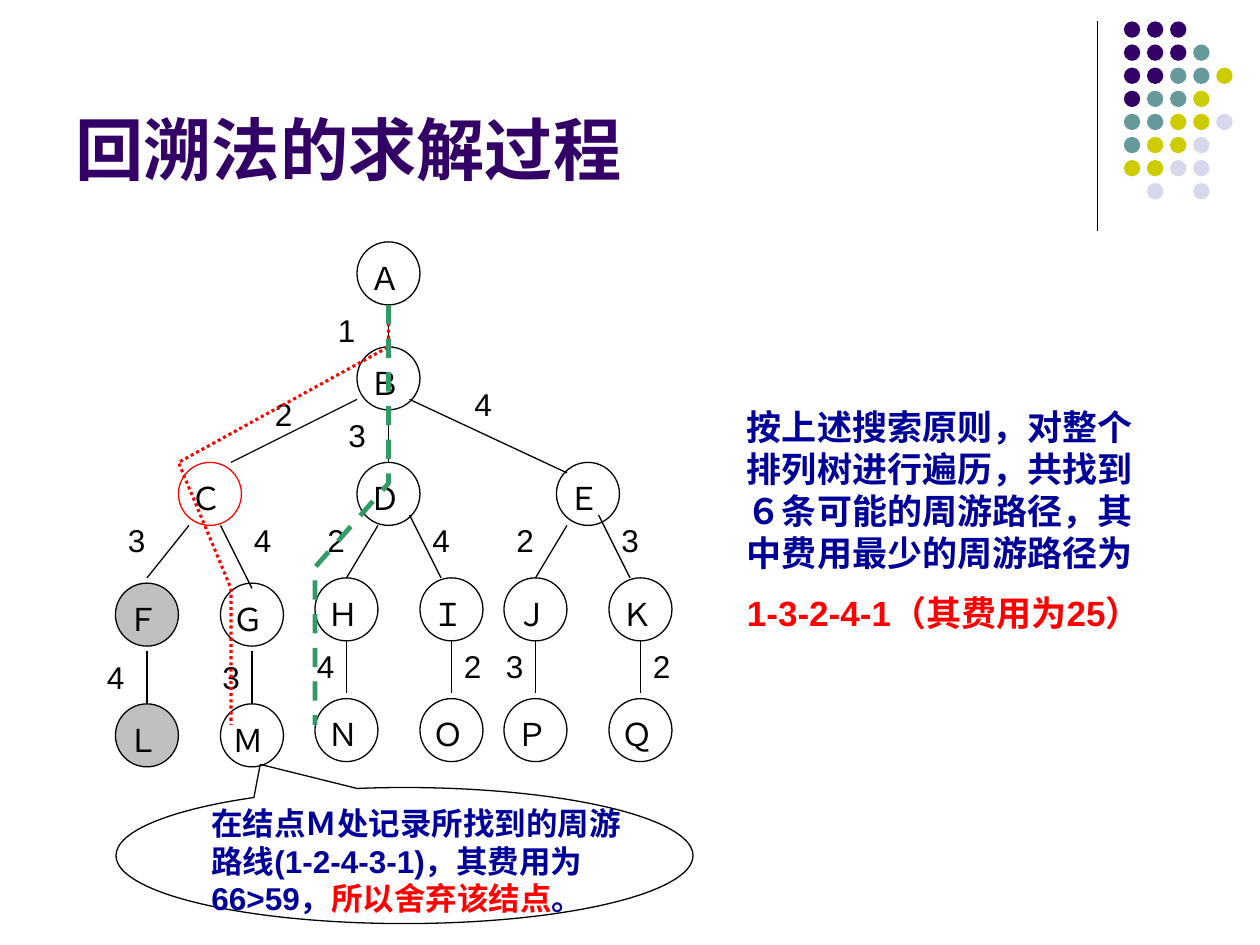
"""Build the backtracking search-tree slide."""
from dataclasses import dataclass

import pptx
import pptx.dml.color
import pptx.enum.dml
import pptx.enum.shapes
import pptx.enum.text
import pptx.util
from lxml import etree
from pptx.util import Inches

SHAPE = pptx.enum.shapes.MSO_SHAPE
DASH = pptx.enum.dml.MSO_LINE
ANCHOR = pptx.enum.text.MSO_ANCHOR


@dataclass(frozen=True)
class Theme:
    """Colours, type sizes and the font."""
    font: str = "Arial"
    ink: str = "000000"
    purple: str = "330066"
    teal: str = "669999"
    olive: str = "CCCC00"
    mist: str = "D8D8EC"
    navy: str = "000099"
    red: str = "FF0000"
    green: str = "339966"
    pruned: str = "C0C0C0"
    title: float = 39
    body: float = 20
    label: float = 18
    hairline: float = 0.75


THEME = Theme()
TREE_UNIT = Inches(1) / 12

DOT_ROWS = ["PPP", "PPPT", "PPTTO", "PTTO", "TTOOM", "TOOM", "OOMM", " M M"]
DOT_COLOURS = {"P": THEME.purple, "T": THEME.teal, "O": THEME.olive, "M": THEME.mist}

NODES = {
    "Ａ": (25, 0), "Ｂ": (25, 10), "Ｃ": (8, 21), "Ｄ": (25, 21), "Ｅ": (44, 21),
    "Ｆ": (2, 32.5), "Ｇ": (12, 32.5), "Ｌ": (2, 44), "Ｍ": (12, 44),
    "Ｈ": (21, 32), "Ｉ": (31, 32), "Ｎ": (21, 43.5), "Ｏ": (31, 43.5),
    "Ｊ": (39, 32), "Ｋ": (49, 32), "Ｐ": (39, 43.5), "Ｑ": (49, 43.5),
}
NODE_FILLS = {"Ｆ": THEME.pruned, "Ｌ": THEME.pruned}
NODE_LINES = {"Ｃ": THEME.red}

EDGES = [
    ((28, 6), (28, 10), "1", (22, 6)),
    ((28, 16), (28, 21), "3", (23, 16)),
    ((25, 15), (13, 21), "2", (16, 14)),
    ((45, 22), (30, 15), "4", (35, 13)),
    ((27, 27), (24, 32), "2", (21, 26)),
    ((9, 27), (5, 32), "3", (2, 26)),
    ((45, 27), (42, 32), "2", (39, 26)),
    ((51, 32), (48, 26), "3", (49, 26)),
    ((33, 32), (30, 26), "4", (31, 26)),
    ((15, 33), (12, 27), "4", (14, 26)),
    ((5, 39), (5, 44), "4", (0, 39)),
    ((15, 39), (15, 44), "3", (11, 39)),
    ((24, 38), (24, 43), "4", (20, 38)),
    ((34, 38), (34, 43), "2", (34, 38)),
    ((42, 38), (42, 43), "3", (38, 38)),
    ((52, 38), (52, 43), "2", (52, 38)),
]
REJECTED_ROUTE = [(28, 6), (28, 10), (8, 21), (13, 33), (13, 46)]
BEST_ROUTE = [(28, 6), (28, 10), (28, 23), (21, 31), (21, 46)]


def rgb(colour):
    """Turn a hex string into a colour value."""
    return pptx.dml.color.RGBColor.from_string(colour)


def add_text(page, left, top, width, height, paragraphs, size, bold=False, anchor=ANCHOR.TOP):
    """Place a text box whose paragraphs are lists of (text, colour) spans."""
    box = page.shapes.add_textbox(*map(int, (left, top, width, height)))
    frame = box.text_frame
    frame.word_wrap = True
    frame.vertical_anchor = anchor
    for index, spans in enumerate(paragraphs):
        para = frame.add_paragraph() if index else frame.paragraphs[0]
        para.font.name = THEME.font
        para.font.size = pptx.util.Pt(size)
        para.font.bold = bold
        if index:
            para.space_before = pptx.util.Pt(size / 2)
        for text, colour in spans:
            span = para.add_run()
            span.text = text
            span.font.color.rgb = rgb(colour)


def style_shape(shape, fill=None, line=None, width=THEME.hairline):
    """Set fill and outline, leaving either empty when no colour is given."""
    shape.shadow.inherit = False
    if fill:
        shape.fill.solid()
        shape.fill.fore_color.rgb = rgb(fill)
    else:
        shape.fill.background()
    if line:
        shape.line.color.rgb = rgb(line)
        shape.line.width = pptx.util.Pt(width)
    else:
        shape.line.fill.background()


def add_line(page, start, end):
    """Draw a thin straight connector between two points."""
    line = page.shapes.add_connector(
        pptx.enum.shapes.MSO_CONNECTOR.STRAIGHT, *map(int, (*start, *end)))
    line.line.color.rgb = rgb(THEME.ink)
    line.line.width = pptx.util.Pt(THEME.hairline)
    etree.SubElement(line._element.spPr, pptx.oxml.ns.qn("a:effectLst"))


def add_ornament(page, left, top, height):
    """Draw the vertical rule and the grid of coloured dots beside it."""
    add_line(page, (left, top), (left, top + height))
    pitch, size = Inches(1.1) / 6, Inches(0.13)
    for row, marks in enumerate(DOT_ROWS):
        for column, mark in enumerate(marks):
            if mark in DOT_COLOURS:
                dot = page.shapes.add_shape(
                    SHAPE.OVAL, int(left + Inches(0.21) + column * pitch),
                    int(top + row * pitch), size, size)
                style_shape(dot, fill=DOT_COLOURS[mark])


def add_route(page, points, colour, width, dash):
    """Draw an open dashed route through the points."""
    builder = page.shapes.build_freeform(*points[0])
    builder.add_line_segments(points[1:], close=False)
    route = builder.convert_to_shape()
    style_shape(route, line=colour, width=width)
    route.line.dash_style = dash


def add_tree(page, left, top):
    """Draw the search tree with its costs and the two routes."""
    def place(point):
        return int(left + point[0] * TREE_UNIT), int(top + point[1] * TREE_UNIT)

    for name, (column, row) in NODES.items():
        node = page.shapes.add_shape(
            SHAPE.OVAL, *place((column, row)), Inches(0.5), Inches(0.5))
        style_shape(node, NODE_FILLS.get(name), NODE_LINES.get(name, THEME.ink))
        add_text(page, *place((column, row + 1)), Inches(0.42), Inches(0.4),
                 [[(name, THEME.ink)]], THEME.label)
    for start, end, cost, corner in EDGES:
        add_line(page, place(start), place(end))
        add_text(page, *place(corner), Inches(0.33), Inches(0.4),
                 [[(cost, THEME.ink)]], THEME.label)
    add_route(page, [place(point) for point in REJECTED_ROUTE],
              THEME.red, 1.75, DASH.ROUND_DOT)
    add_route(page, [place(point) for point in BEST_ROUTE],
              THEME.green, 2.75, DASH.DASH)


def add_callout(page, left, top, width, height):
    """Draw the balloon that explains why node M is dropped."""
    balloon = page.shapes.add_shape(SHAPE.OVAL_CALLOUT, left, top, width, height)
    balloon.rotation = 180
    balloon.adjustments[0] = 0.25
    balloon.adjustments[1] = 0.67
    style_shape(balloon, line=THEME.ink)
    add_text(page, left + Inches(0.66), top + Inches(0.08),
             width - Inches(0.91), height - Inches(0.08),
             [[("在结点Ｍ处记录所找到的周游路线(1-2-4-3-1)，其费用为66>59，", THEME.navy),
               ("所以舍弃该结点", THEME.red), ("。", THEME.navy)]],
             THEME.label, bold=True)


def add_conclusion(page, left, top, width, height):
    """Write the result of the search."""
    add_text(page, left, top, width, height,
             [[("按上述搜索原则，对整个排列树进行遍历，共找到６条可能的周游路径，"
                "其中费用最少的周游路径为", THEME.navy)],
              [("1-3-2-4-1（其费用为25）", THEME.red)]],
             THEME.body, bold=True)


def main():
    """Build and save the deck."""
    deck = pptx.Presentation()
    deck.slide_width, deck.slide_height = Inches(10), Inches(7.5)
    page = deck.slides.add_slide(deck.slide_layouts[6])
    add_ornament(page, Inches(8.71), Inches(0.17), Inches(1.66))
    add_text(page, Inches(0.5), Inches(0.13), Inches(8.25), Inches(1.42),
             [[("回溯法的求解过程", THEME.purple)]], THEME.title, True, ANCHOR.BOTTOM)
    add_tree(page, Inches(0.75), Inches(1.92))
    add_callout(page, Inches(0.92), Inches(6.25), Inches(4.58), Inches(1.08))
    add_conclusion(page, Inches(5.83), Inches(3.17), Inches(3.42), Inches(1.93))
    deck.save("out.pptx")


if __name__ == "__main__":
    main()
